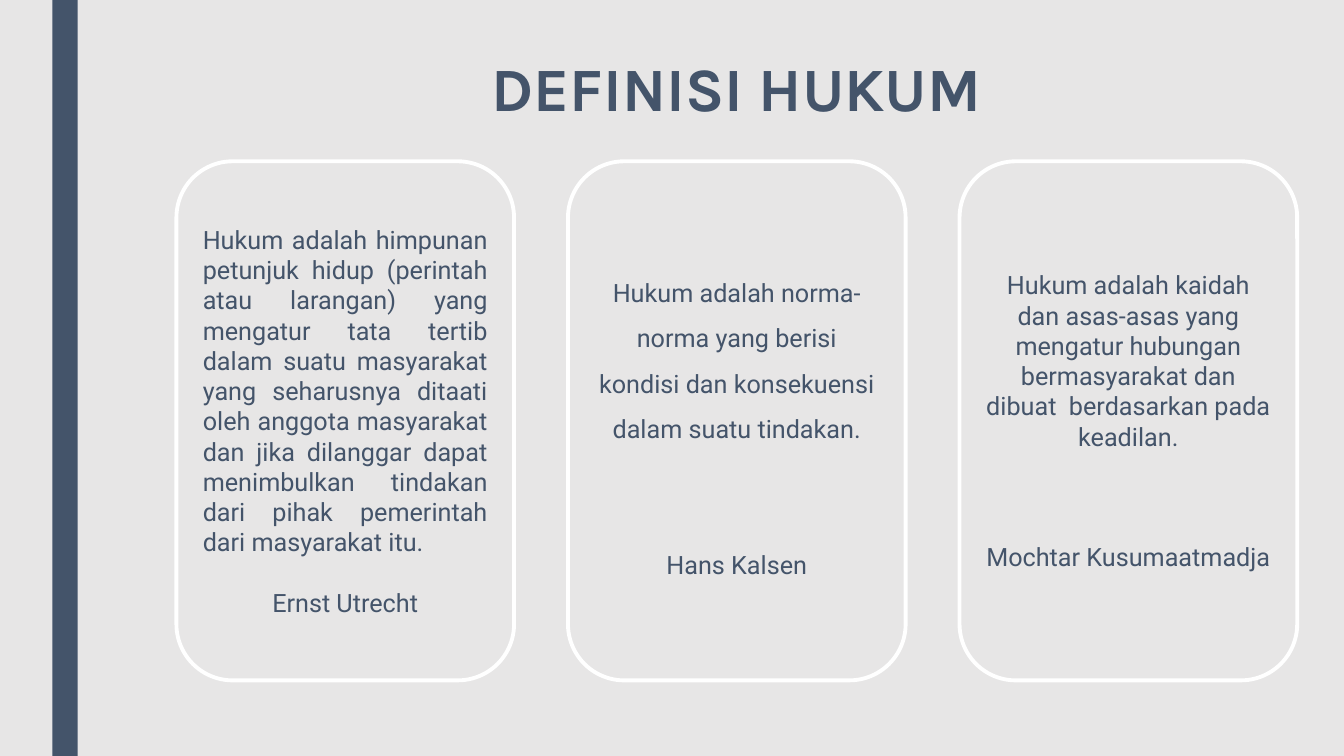
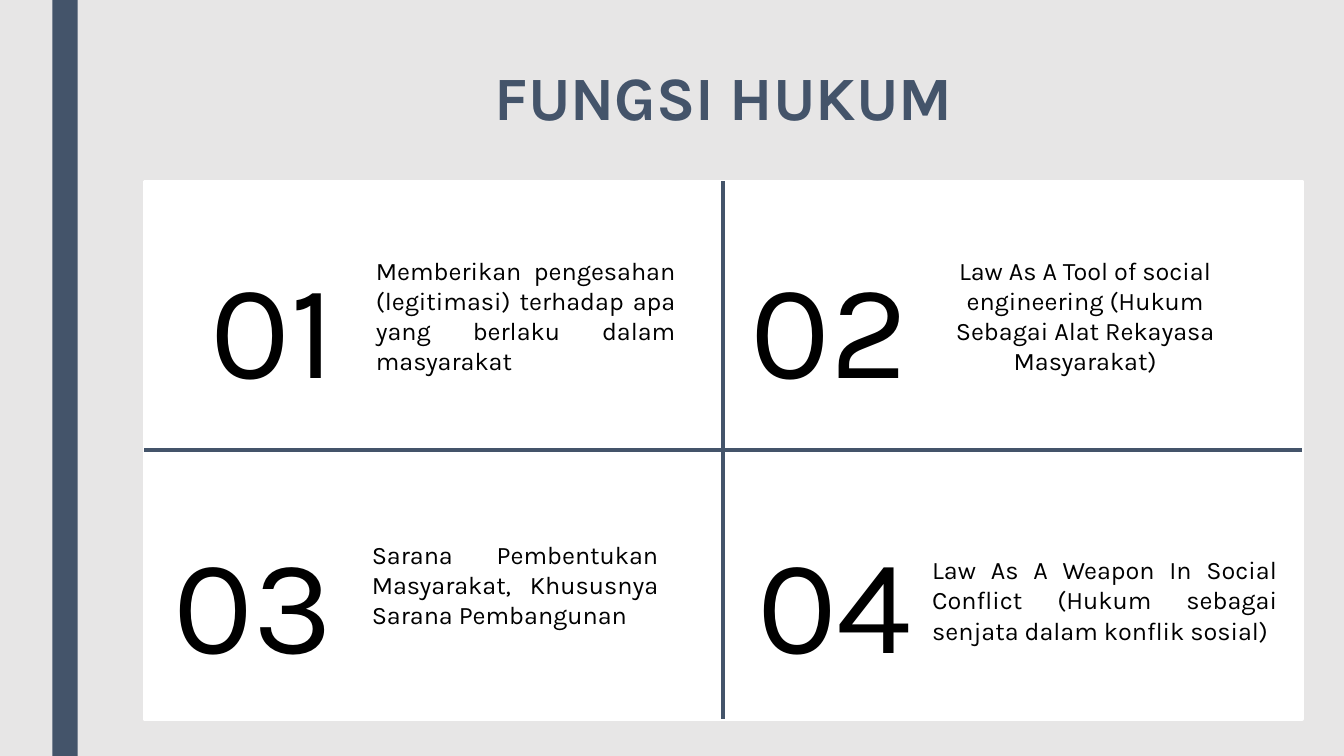
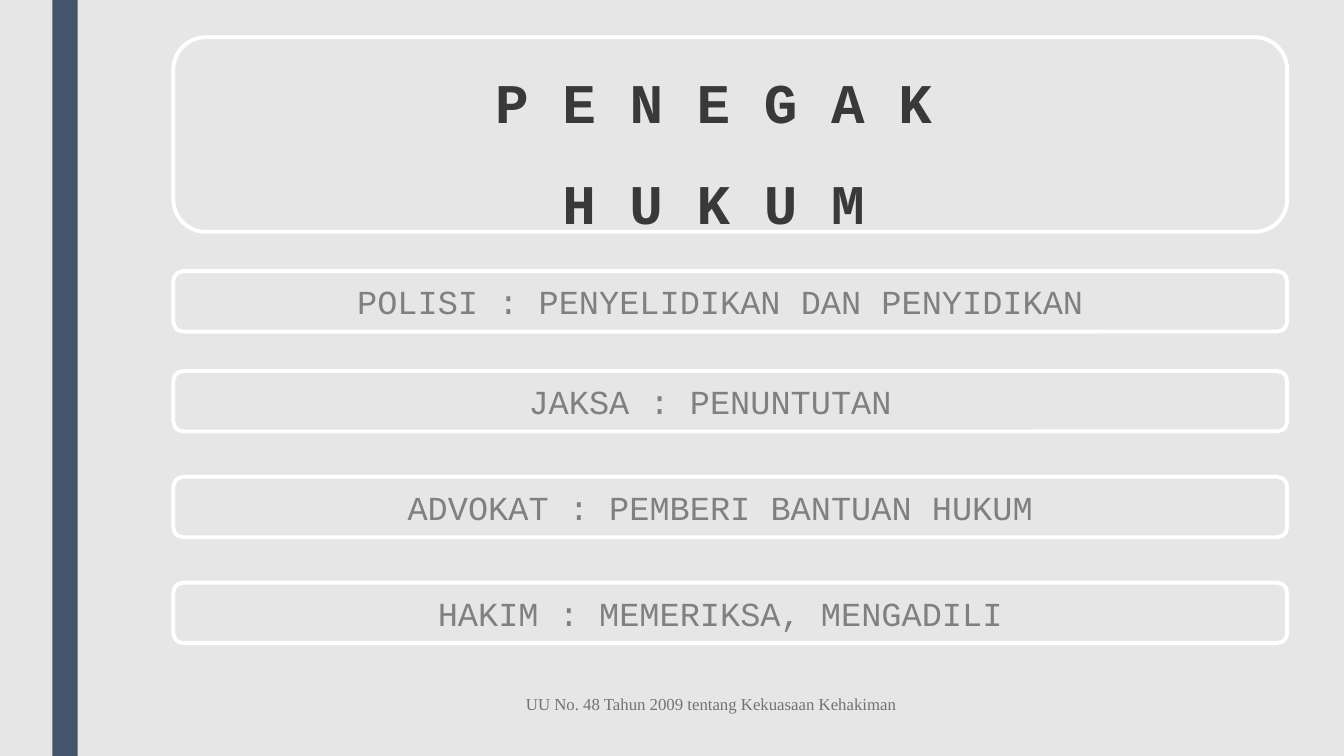
"""Build three slides on the definition, functions and enforcers of law."""
from lxml.etree import SubElement
from pptx import Presentation
from pptx.dml.color import RGBColor
from pptx.enum.shapes import MSO_CONNECTOR, MSO_SHAPE
from pptx.enum.text import MSO_ANCHOR, MSO_AUTO_SIZE, PP_ALIGN
from pptx.oxml.ns import qn
from pptx.util import Pt

NAVY = RGBColor(0x44, 0x54, 0x6A)
PALE = RGBColor(0xE7, 0xE6, 0xE6)
WHITE = RGBColor(0xFF, 0xFF, 0xFF)
BLACK = RGBColor(0, 0, 0)
CHARCOAL = RGBColor(0x3B, 0x38, 0x38)
GRAY = RGBColor(0x80, 0x80, 0x80)
NOTE_GRAY = RGBColor(0x76, 0x71, 0x71)

CENTER, JUSTIFY, LEFT = PP_ALIGN.CENTER, PP_ALIGN.JUSTIFY, PP_ALIGN.LEFT
BORDER = 2.75
INSET = 7.2

HEADING = {"name": "Karla", "size": Pt(44), "bold": True, "color": NAVY}
CARD = {"name": "Roboto", "size": Pt(18), "color": NAVY}
NUMBER = {"name": "Karla", "size": Pt(96), "color": BLACK}
FUNCTION = {"name": "Karla", "size": Pt(18), "color": BLACK}
BANNER = {"name": "Courier New", "size": Pt(40), "bold": True, "color": CHARCOAL}
ROLE = {"name": "Courier New", "size": Pt(24), "color": GRAY}
NOTE = {"name": "Times New Roman", "size": Pt(12), "color": NOTE_GRAY}

DEFINITIONS = [
    ("Hukum adalah himpunan petunjuk hidup (perintah atau larangan) yang mengatur "
     "tata tertib dalam suatu masyarakat yang seharusnya ditaati oleh anggota "
     "masyarakat dan jika dilanggar dapat menimbulkan tindakan dari pihak "
     "pemerintah dari masyarakat itu.", "Ernst Utrecht", JUSTIFY, 1, 21.6),
    ("Hukum adalah norma-norma yang berisi kondisi dan konsekuensi dalam suatu "
     "tindakan.", "Hans Kalsen", CENTER, 1.5, 64.8),
    ("Hukum adalah kaidah dan asas-asas yang mengatur hubungan bermasyarakat dan "
     "dibuat  berdasarkan pada keadilan.", "Mochtar Kusumaatmadja", CENTER, 1, 64.8),
]
CARD_LEFT, CARD_TOP, CARD_WIDTH, CARD_HEIGHT, CARD_STEP = 126, 115.2, 241.2, 370.8, 279.7

PANEL = (103.2, 129.6, 826.8, 384)
FUNCTIONS = [
    ("01", (111.6, 149, 166.3, 165.6), (261.4, 178.6, 228.2, 116.6), JUSTIFY,
     "Memberikan pengesahan (legitimasi) terhadap apa yang berlaku dalam masyarakat"),
    ("02", (525.6, 149, 133.9, 165.6), (665.3, 178.6, 219.6, 116.6), CENTER,
     "Law As A Tool of social engineering (Hukum Sebagai Alat Rekayasa Masyarakat)"),
    ("03", (111.6, 345.6, 139, 165.6), (258.5, 381.6, 218.9, 94.3), JUSTIFY,
     "Sarana Pembentukan Masyarakat, Khususnya Sarana Pembangunan"),
    ("04", (525.6, 345.6, 141.1, 165.6), (658.8, 392.4, 260.6, 94.3), JUSTIFY,
     "Law As A Weapon In Social Conflict (Hukum sebagai senjata dalam konflik sosial)"),
]

BANNER_AREA = (123.8, 26.6, 795.6, 139)
BANNER_SHIFT = 24
ROLE_HEIGHT = 43.2
ROLES = [
    (193.7, "POLISI : PENYELIDIKAN DAN PENYIDIKAN", 14.4),
    (265, "JAKSA : PENUNTUTAN", 28.8),
    (340.6, "ADVOKAT : PEMBERI BANTUAN HUKUM", 14.4),
    (416.2, "HAKIM : MEMERIKSA, MENGADILI", 14.4),
]
SOURCE_NOTE = "UU No. 48 Tahun 2009 tentang Kekuasaan Kehakiman"


def points(area):
    return [Pt(value) for value in area]


def write(box, lines, style, align=CENTER, anchor=MSO_ANCHOR.MIDDLE, spacing=1,
          top=3.6, right=INSET):
    frame = box.text_frame
    settings = {"word_wrap": True, "auto_size": MSO_AUTO_SIZE.NONE,
                "vertical_anchor": anchor, "margin_left": Pt(INSET),
                "margin_right": Pt(right), "margin_top": Pt(top), "margin_bottom": Pt(3.6)}
    for name, value in settings.items():
        setattr(frame, name, value)
    for index, line in enumerate(lines):
        para = frame.add_paragraph() if index else frame.paragraphs[0]
        para.alignment = align
        para.line_spacing = spacing
        para.space_before = Pt(0)
        span = para.add_run()
        span.text = line
        for name, value in style.items():
            if name == "color":
                span.font.color.rgb = value
            else:
                setattr(span.font, name, value)
    return frame.paragraphs


def add_panel(page, kind, area, fill, line=WHITE):
    box = page.shapes.add_shape(kind, *points(area))
    box.shadow.inherit = False
    box.fill.solid()
    box.fill.fore_color.rgb = fill
    if line is None:
        box.line.fill.background()
    else:
        box.line.color.rgb = line
        box.line.width = Pt(BORDER)
    return box


def add_divider(page, *ends):
    divider = page.shapes.add_connector(MSO_CONNECTOR.STRAIGHT, *points(ends))
    divider.line.color.rgb = NAVY
    divider.line.width = Pt(BORDER)
    SubElement(divider.element.spPr, qn("a:effectLst"))


def add_text(page, area, line, style, align):
    box = page.shapes.add_textbox(*points(area))
    write(box, [line], style, align, MSO_ANCHOR.TOP)


def set_title(page, area, lines, style, **layout):
    title = page.shapes.title
    title.left, title.top, title.width, title.height = points(area)
    write(title, lines, style, **layout)


def add_page(deck):
    return deck.slides.add_slide(deck.slide_layouts[5])


def style_master(deck, page):
    master = deck.slide_master
    master.background.fill.solid()
    master.background.fill.fore_color.rgb = PALE
    bar = add_panel(page, MSO_SHAPE.RECTANGLE, (37.4, 0, 18, 540), NAVY, None)
    master.shapes.element.insert(2, bar.element)


def build_definitions(page):
    set_title(page, (148.3, 34.6, 756, 61.2), ["DEFINISI HUKUM"], HEADING,
              anchor=MSO_ANCHOR.TOP, spacing=0.89, top=INSET)
    for index, (text, author, align, spacing, gap) in enumerate(DEFINITIONS):
        area = (CARD_LEFT + index * CARD_STEP, CARD_TOP, CARD_WIDTH, CARD_HEIGHT)
        box = add_panel(page, MSO_SHAPE.ROUNDED_RECTANGLE, area, PALE)
        body, credit = write(box, [text, author], CARD, align, spacing=spacing)
        credit.alignment = CENTER
        credit.space_before = Pt(gap)


def build_functions(page):
    set_title(page, (139, 41, 756, 64.8), ["FUNGSI HUKUM"], HEADING,
              anchor=MSO_ANCHOR.TOP, spacing=0.89, top=INSET)
    left, top, width, height = PANEL
    add_panel(page, MSO_SHAPE.RECTANGLE, PANEL, WHITE)
    add_divider(page, left, top + height / 2, left + width, top + height / 2)
    add_divider(page, left + width / 2, top, left + width / 2, top + height)
    for number, number_area, text_area, align, text in FUNCTIONS:
        box = add_panel(page, MSO_SHAPE.RECTANGLE, number_area, WHITE)
        write(box, [number], NUMBER)
        add_text(page, text_area, text, FUNCTION, align)


def build_enforcers(page):
    panel = add_panel(page, MSO_SHAPE.ROUNDED_RECTANGLE, BANNER_AREA, PALE)
    page.shapes.title.element.addprevious(panel.element)
    set_title(page, BANNER_AREA, ["P E N E G A K", "H U K U M"], BANNER,
              spacing=1.5, right=INSET + BANNER_SHIFT)
    left, _, width, _ = BANNER_AREA
    for top, text, shift in ROLES:
        area = (left, top, width, ROLE_HEIGHT)
        box = add_panel(page, MSO_SHAPE.ROUNDED_RECTANGLE, area, PALE)
        write(box, [text], ROLE, right=INSET + shift)
    add_text(page, (368.6, 491.8, 306, 43.9), SOURCE_NOTE, NOTE, LEFT)


def main():
    deck = Presentation()
    deck.slide_width, deck.slide_height = Pt(960), Pt(540)
    for index, build in enumerate((build_definitions, build_functions, build_enforcers)):
        page = add_page(deck)
        if index == 0:
            style_master(deck, page)
        build(page)
    deck.save("out.pptx")


if __name__ == "__main__":
    main()
